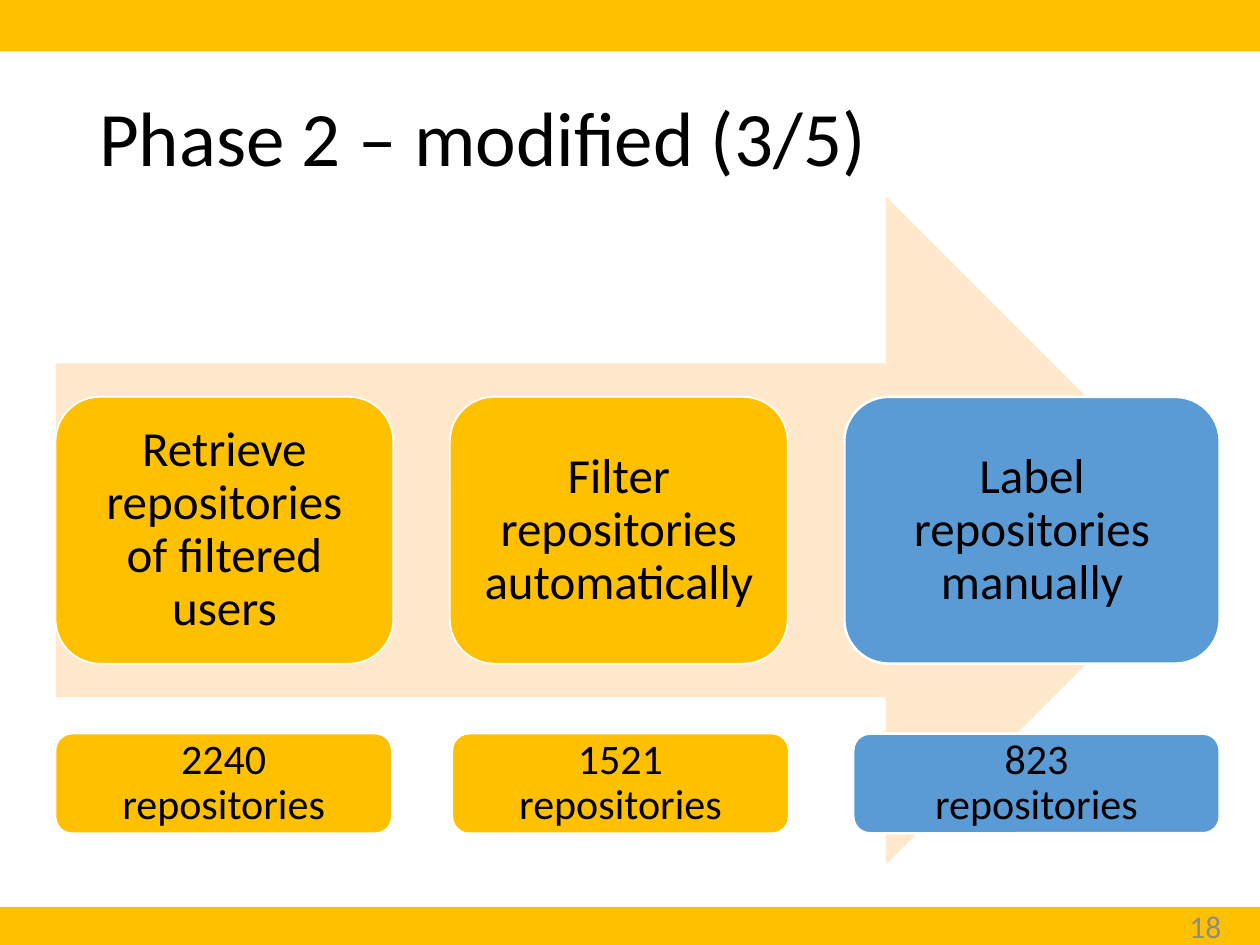
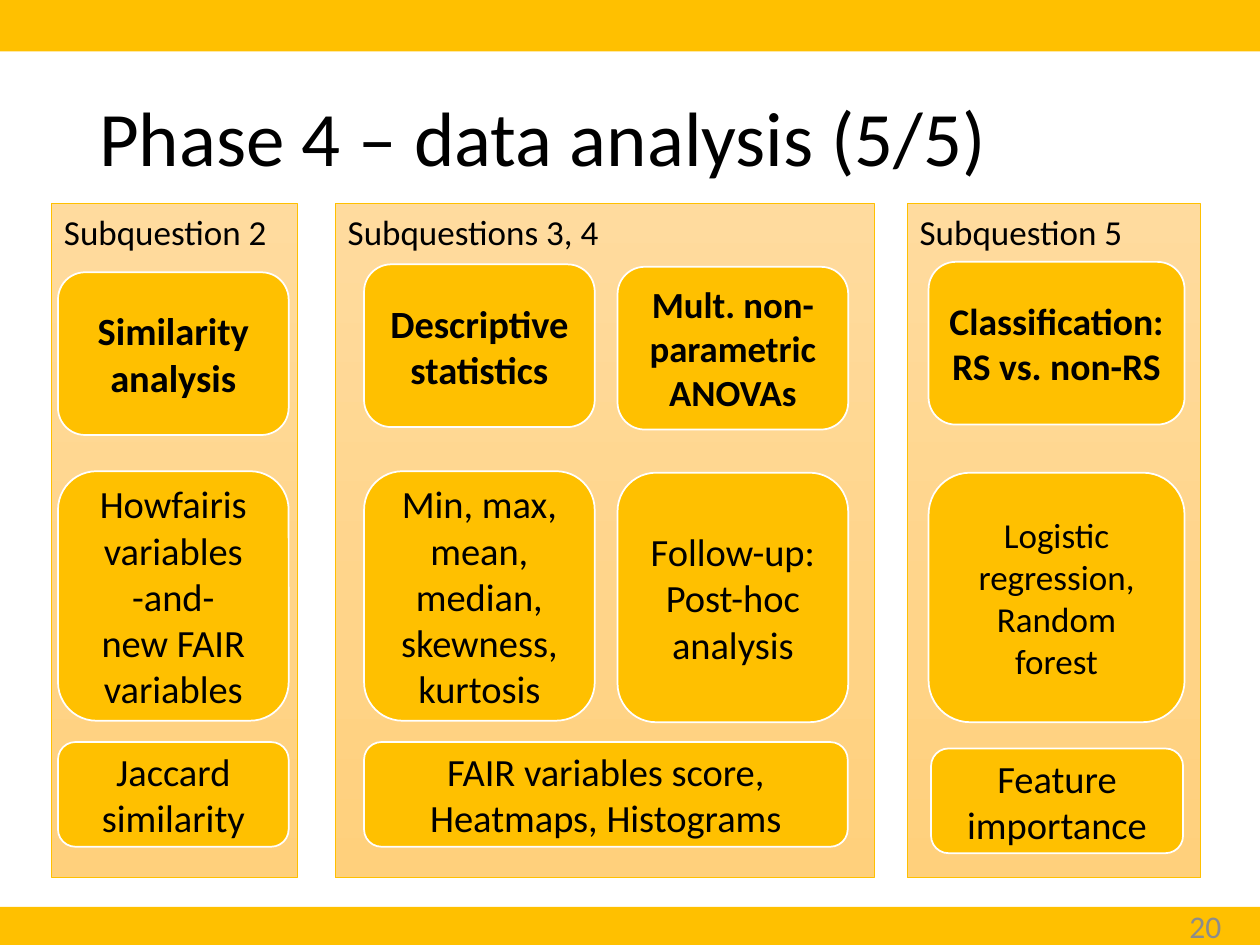
"""Build two slides on the phases of a repository study."""
from pptx import Presentation
from pptx.dml.color import RGBColor
from pptx.enum.shapes import MSO_SHAPE
from pptx.enum.text import MSO_ANCHOR, PP_ALIGN
from pptx.util import Cm, Pt

RECTANGLE = MSO_SHAPE.RECTANGLE
ROUNDED = MSO_SHAPE.ROUNDED_RECTANGLE
ARROW = MSO_SHAPE.RIGHT_ARROW
TOP, MIDDLE = MSO_ANCHOR.TOP, MSO_ANCHOR.MIDDLE
LEFT, CENTER, RIGHT = PP_ALIGN.LEFT, PP_ALIGN.CENTER, PP_ALIGN.RIGHT

FONT = "Calibri"
COLORS = {
    "gold": "FFC000",
    "blue": "5B9BD5",
    "peach": "FFE8CC",
    "panel_top": "FFDB9E",
    "panel_bottom": "FFD07C",
    "white": "FFFFFF",
    "text": "000000",
    "page": "8C8C8C",
}
SLIDE_WIDTH, SLIDE_HEIGHT = 25.4, 19.05
STEP_PITCH = 7.95
PANEL_TOP, PANEL_HEIGHT = 4.11, 13.59
HEAD_HEIGHT, METHOD_HEIGHT, RESULT_HEIGHT = 3.28, 5.03, 2.11

STEPS = [
    ("Retrieve repositories of filtered users", 6.81, "gold", 1),
    ("Filter repositories automatically", 6.81, "gold", 1),
    ("Label repositories manually", 7.57, "blue", 1.5),
]
COUNTS = [
    ("2240\vrepositories", 1.12, 6.78, "gold", 1),
    ("1521\vrepositories", 9.12, 6.78, "gold", 1),
    ("823\vrepositories", 17.2, 7.39, "blue", 1.5),
]
PANELS = [
    ("Subquestion 2", 1.04, 4.95),
    ("Subquestions 3, 4", 6.76, 10.87),
    ("Subquestion 5", 18.29, 5.92),
]
HEADS = [
    ("Similarity analysis", 1.17, 5.49, 4.65, 22),
    ("Descriptive statistics", 7.34, 5.33, 4.65, 22),
    ("Mult. non-parametric ANOVAs", 12.45, 5.38, 4.65, 21),
    ("Classification: RS vs. non-RS", 18.72, 5.28, 5.16, 21.5),
]
METHODS = [
    ("Howfairis variables\n-and-\nnew FAIR variables", 1.17, 9.5, 4.65, 22),
    ("Min, max, mean, median, skewness, kurtosis", 7.34, 9.5, 4.65, 22),
    ("Follow-up:\nPost-hoc analysis", 12.45, 9.53, 4.65, 22),
    ("Logistic regression,\nRandom forest", 18.72, 9.53, 5.16, 20),
]
RESULTS = [
    ("Jaccard similarity", 1.17, 14.96, 4.65, 22),
    ("FAIR variables score,\nHeatmaps, Histograms", 7.34, 14.96, 9.75, 22),
    ("Feature importance", 18.77, 15.09, 5.08, 22),
]


def rgb(name):
    """Return the named colour."""
    return RGBColor.from_string(COLORS[name])


def write_text(shape, text, size=22, color="text", bold=False, align=CENTER,
               anchor=MIDDLE, margins=(0.25, 0.25), spacing=None):
    """Fill a shape with one paragraph for each line of the text."""
    frame = shape.text_frame
    frame.word_wrap = True
    frame.vertical_anchor = anchor
    frame.margin_left = frame.margin_right = Cm(margins[0])
    frame.margin_top = frame.margin_bottom = Cm(margins[1])
    for index, line in enumerate(text.split("\n")):
        paragraph = frame.add_paragraph() if index else frame.paragraphs[0]
        paragraph.text = line
        paragraph.alignment = align
        paragraph.line_spacing = spacing
        for run in paragraph.runs:
            run.font.name = FONT
            run.font.size = Pt(size)
            run.font.bold = bold
            run.font.color.rgb = rgb(color)


def add_block(slide, kind, box, fill, line=None, line_width=1):
    """Add a flat preset shape, outlined if a line colour is given."""
    shape = slide.shapes.add_shape(kind, *map(Cm, box))
    shape.shadow.inherit = False
    shape.fill.solid()
    shape.fill.fore_color.rgb = rgb(fill)
    if line:
        shape.line.color.rgb = rgb(line)
        shape.line.width = Pt(line_width)
    else:
        shape.line.fill.background()
    return shape


def add_label(slide, box, text, **text_format):
    """Add a text box with formatted text."""
    label = slide.shapes.add_textbox(*map(Cm, box))
    write_text(label, text, margins=(0.25, 0.13), **text_format)


def add_card(slide, box, text, fill="gold", line_width=1, **text_format):
    """Add a rounded card with a white outline."""
    card = add_block(slide, ROUNDED, box, fill, "white", line_width)
    write_text(card, text, **text_format)


def add_panel(slide, text, left, width):
    """Add a shaded panel for a subquestion."""
    box = (left, PANEL_TOP, width, PANEL_HEIGHT)
    panel = add_block(slide, RECTANGLE, box, "panel_top", "gold", 0.5)
    panel.fill.gradient()
    panel.fill.gradient_angle = 270
    for stop, color in zip(panel.fill.gradient_stops,
                           ("panel_top", "panel_bottom")):
        stop.color.rgb = rgb(color)
    write_text(panel, text, size=20, align=LEFT, anchor=TOP,
               margins=(0.25, 0.13))


def add_base_slide(presentation, title, page):
    """Add a slide with bands, title and page number."""
    slide = presentation.slides.add_slide(presentation.slide_layouts[6])
    for top, height in ((0, 1.04), (18.28, 0.77)):
        add_block(slide, RECTANGLE, (0, top, SLIDE_WIDTH, height), "gold")
    add_label(slide, (1.75, 1.02, 21.89, 3.68), title, size=44, align=LEFT,
              spacing=0.9)
    add_label(slide, (19.15, 18.16, 5.72, 1.02), page, size=18, color="page",
              align=RIGHT)
    return slide


def add_repository_slide(presentation):
    """Show the steps that narrow down the repositories."""
    slide = add_base_slide(presentation, "Phase 2 – modified (3/5)", "18")
    add_block(slide, ARROW, (1.12, 3.96, 23.47, 13.46), "peach")
    for index, (text, width, fill, line_width) in enumerate(STEPS):
        box = (1.12 + index * STEP_PITCH, 8, width, 5.38)
        add_card(slide, box, text, fill, line_width, size=28, spacing=0.9,
                 margins=(0.3, 0.3))
    for text, left, width, fill, line_width in COUNTS:
        add_card(slide, (left, 14.79, width, 2.01), text, fill, line_width,
                 size=24, spacing=0.9)


def add_analysis_slide(presentation):
    """Show the analyses for each subquestion."""
    slide = add_base_slide(presentation, "Phase 4 – data analysis (5/5)", "20")
    for panel in PANELS:
        add_panel(slide, *panel)
    rows = ((HEADS, HEAD_HEIGHT, True), (METHODS, METHOD_HEIGHT, False),
            (RESULTS, RESULT_HEIGHT, False))
    for cards, height, bold in rows:
        for text, left, top, width, size in cards:
            add_card(slide, (left, top, width, height), text, size=size,
                     bold=bold)


def main():
    """Build and save the presentation."""
    presentation = Presentation()
    presentation.slide_width = Cm(SLIDE_WIDTH)
    presentation.slide_height = Cm(SLIDE_HEIGHT)
    add_repository_slide(presentation)
    add_analysis_slide(presentation)
    presentation.save("out.pptx")


if __name__ == "__main__":
    main()
